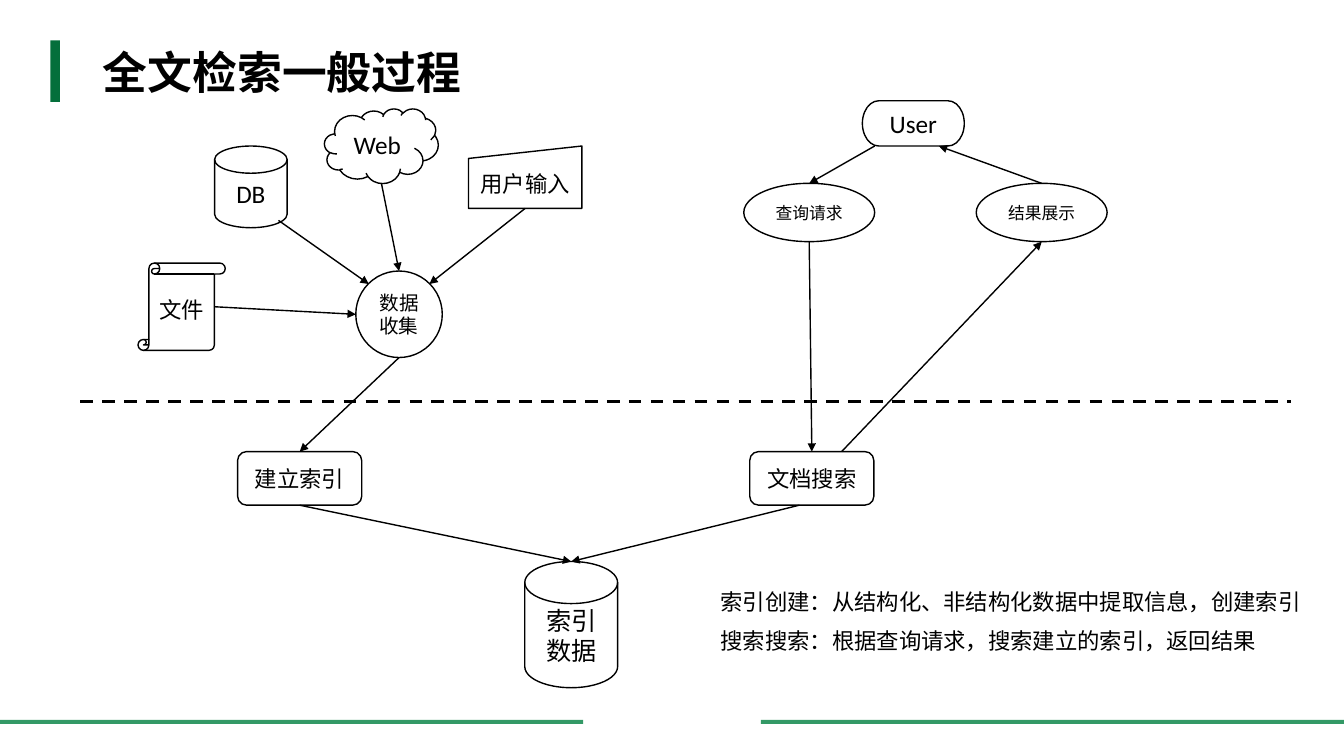
from dataclasses import dataclass

from lxml import etree
from pptx import Presentation
from pptx.dml.color import RGBColor
from pptx.enum.dml import MSO_LINE
from pptx.enum.shapes import MSO_CONNECTOR, MSO_SHAPE
from pptx.enum.text import MSO_ANCHOR, MSO_AUTO_SIZE, PP_ALIGN
from pptx.oxml.ns import qn
from pptx.util import Cm, Pt

RECT, OVAL, ROUND = MSO_SHAPE.RECTANGLE, MSO_SHAPE.OVAL, MSO_SHAPE.ROUNDED_RECTANGLE
SCROLL, CLOUD = MSO_SHAPE.VERTICAL_SCROLL, MSO_SHAPE.CLOUD
DISK = MSO_SHAPE.FLOWCHART_MAGNETIC_DISK
INPUT = MSO_SHAPE.FLOWCHART_MANUAL_INPUT
TERMINATOR = MSO_SHAPE.FLOWCHART_TERMINATOR
STRAIGHT, DASH = MSO_CONNECTOR.STRAIGHT, MSO_LINE.DASH
LEFT, CENTER = PP_ALIGN.LEFT, PP_ALIGN.CENTER
TOP, MIDDLE = MSO_ANCHOR.TOP, MSO_ANCHOR.MIDDLE
NO_FIT = MSO_AUTO_SIZE.NONE


@dataclass(frozen=True)
class Theme:
    ink: RGBColor = RGBColor(0x00, 0x00, 0x00)
    accent: RGBColor = RGBColor(0x04, 0x6F, 0x3B)
    footer: RGBColor = RGBColor(0x33, 0x99, 0x66)
    latin: str = "Calibri"
    cjk: str = "Noto Sans CJK SC"
    title: int = 32
    large: int = 18
    body: int = 16
    medium: int = 14
    small: int = 12
    thin: float = 1
    thick: float = 2.25


class FlowSlide:
    def __init__(self, prs, theme):
        self.theme = theme
        self.s = prs.slides.add_slide(prs.slide_layouts[1])
        self.nodes = {}

    def format_text(self, tf, size, align, font, bold=False):
        for p in tf.paragraphs:
            p.alignment = align
            for r in p.runs:
                r.font.name = font
                r.font.size = Pt(size)
                r.font.bold = bold
                r.font.color.rgb = self.theme.ink
                ea = etree.SubElement(r.font._element, qn("a:ea"))
                ea.set("typeface", self.theme.cjk)

    def placeholder(self, sp, box, text, anchor):
        sp.left, sp.top, sp.width, sp.height = map(Cm, box)
        tf = sp.text_frame
        tf.text = text
        tf.word_wrap = True
        tf.auto_size = NO_FIT
        tf.vertical_anchor = anchor
        return tf

    def title(self, box, text):
        tf = self.placeholder(self.s.shapes.title, box, text, MIDDLE)
        self.format_text(tf, self.theme.title, LEFT, self.theme.cjk, True)

    def body(self, box, lines):
        tf = self.placeholder(self.s.placeholders[1], box, "\n".join(lines), TOP)
        self.format_text(tf, self.theme.body, LEFT, self.theme.latin)
        for p in tf.paragraphs:
            p.line_spacing = 0.9
            p.space_before = Pt(10)
            pPr = p._p.get_or_add_pPr()
            pPr.set("marL", "0")
            pPr.set("indent", "0")
            etree.SubElement(pPr, qn("a:buNone"))

    def bar(self, box, color):
        sp = self.s.shapes.add_shape(RECT, *map(Cm, box))
        sp.shadow.inherit = False
        sp.fill.solid()
        sp.fill.fore_color.rgb = color
        sp.line.fill.background()

    def node(self, text, kind, box, size):
        sp = self.s.shapes.add_shape(kind, *map(Cm, box))
        sp.shadow.inherit = False
        sp.fill.background()
        sp.line.color.rgb = self.theme.ink
        sp.line.width = Pt(self.theme.thin)
        tf = sp.text_frame
        tf.text = text
        tf.word_wrap = True
        tf.vertical_anchor = MIDDLE
        self.format_text(tf, size, CENTER, self.theme.latin)
        self.nodes[text] = box

    def line(self, start, end, width):
        c = self.s.shapes.add_connector(STRAIGHT, *map(Cm, start + end))
        c.line.color.rgb = self.theme.ink
        c.line.width = Pt(width)
        etree.SubElement(c._element.spPr, qn("a:effectLst"))
        return c

    def point(self, name, fx, fy):
        x, y, w, h = self.nodes[name]
        return x + fx * w, y + fy * h

    def arrow(self, source, target):
        c = self.line(self.point(*source), self.point(*target), self.theme.thin)
        tail = etree.SubElement(c.line._get_or_add_ln(), qn("a:tailEnd"))
        tail.set("type", "triangle")

    def divider(self, start, end):
        self.line(start, end, self.theme.thick).line.dash_style = DASH


def main():
    prs = Presentation()
    prs.slide_width, prs.slide_height = Cm(33.88), Cm(19.05)
    t = Theme()
    flow = FlowSlide(prs, t)

    for x in (0, 19.18):
        flow.bar((x, 18.14, 14.7, 0.1), t.footer)
    flow.bar((1.27, 1.02, 0.24, 1.55), t.accent)
    flow.title((2.34, 0.64, 17, 2.31), "全文检索一般过程")
    flow.body((17.91, 14.78, 15.8, 2.57), [
        "索引创建：从结构化、非结构化数据中提取信息，创建索引",
        "搜索搜索：根据查询请求，搜索建立的索引，返回结果",
    ])
    flow.divider((2.03, 10.11), (32.54, 10.11))

    for node in (
        ("文件", SCROLL, (3.48, 6.63, 2.2, 2.2), t.body),
        ("DB", DISK, (5.41, 3.68, 1.83, 2.06), t.large),
        ("Web", CLOUD, (8.18, 2.74, 2.87, 1.88), t.large),
        ("用户输入", INPUT, (11.81, 3.68, 2.86, 1.57), t.body),
        ("User", TERMINATOR, (21.74, 2.54, 2.57, 1.14), t.large),
        ("查询请求", OVAL, (18.75, 4.62, 3.3, 1.47), t.small),
        ("结果展示", OVAL, (24.61, 4.62, 3.3, 1.47), t.small),
        ("数据收集", OVAL, (8.97, 6.83, 2.18, 2.18), t.medium),
        ("建立索引", ROUND, (5.99, 11.38, 3.13, 1.35), t.body),
        ("文档搜索", ROUND, (18.9, 11.38, 3.13, 1.35), t.body),
        ("索引数据", DISK, (13.23, 14.15, 2.34, 3.18), t.large),
    ):
        flow.node(*node)

    for source, target in (
        (("文件", 0.88, 0.5), ("数据收集", 0, 0.5)),
        (("DB", 0.88, 0.91), ("数据收集", 0.15, 0.15)),
        (("Web", 0.5, 1), ("数据收集", 0.5, 0)),
        (("用户输入", 0.5, 1), ("数据收集", 0.85, 0.15)),
        (("User", 0.12, 1), ("查询请求", 0.5, 0)),
        (("查询请求", 0.5, 1), ("文档搜索", 0.5, 0)),
        (("数据收集", 0.5, 1), ("建立索引", 0.5, 0)),
        (("建立索引", 0.5, 1), ("索引数据", 0.5, 0)),
        (("文档搜索", 0.4, 1), ("索引数据", 0.5, 0)),
        (("文档搜索", 0.74, 0), ("结果展示", 0.5, 1)),
        (("结果展示", 0.5, 0), ("User", 0.75, 1)),
    ):
        flow.arrow(source, target)

    prs.save("out.pptx")


if __name__ == "__main__":
    main()
